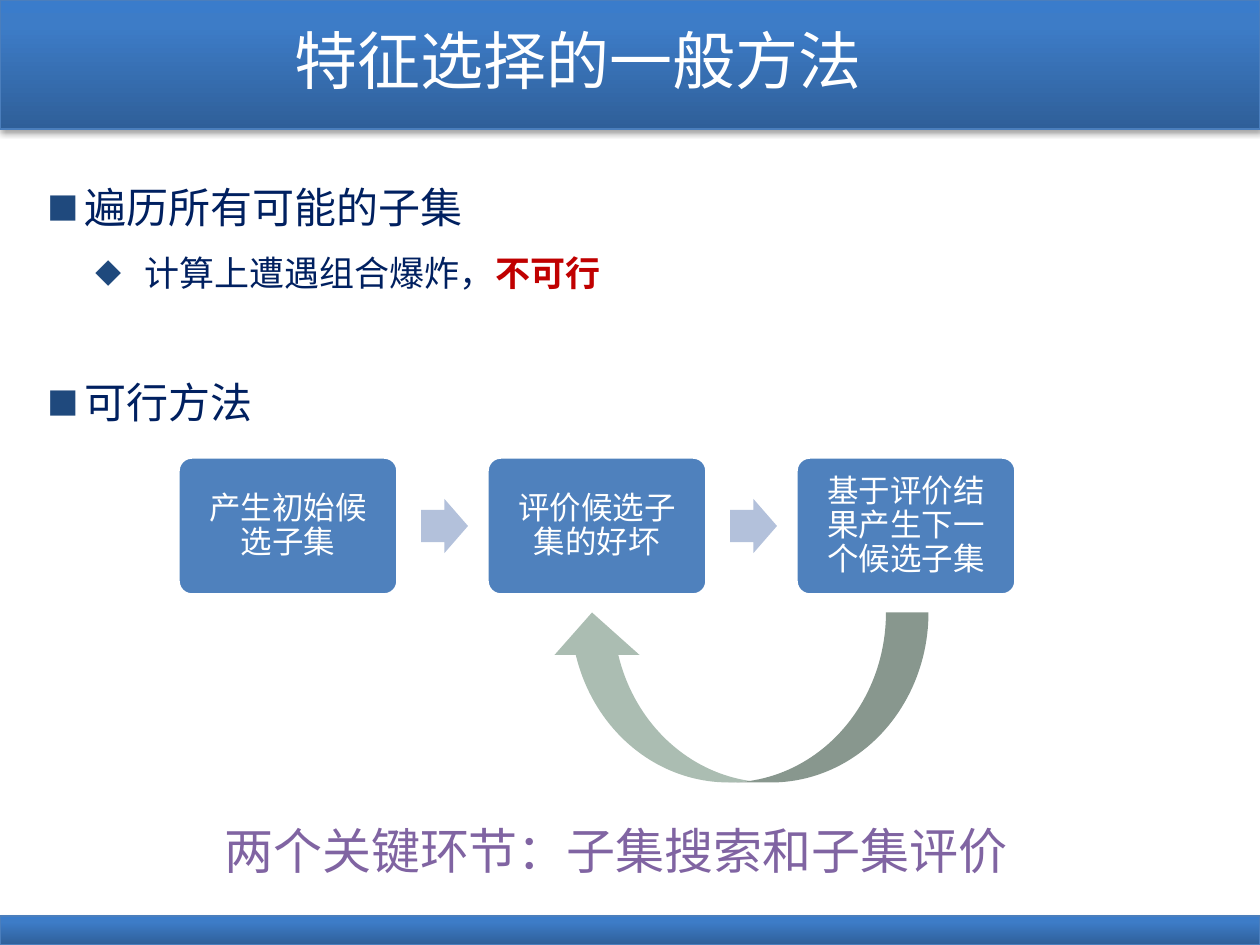
from copy import deepcopy

from lxml import etree
from pptx import Presentation
from pptx.dml.color import RGBColor
from pptx.enum.shapes import MSO_SHAPE as Preset
from pptx.enum.text import MSO_ANCHOR as Anchor, PP_ALIGN as Align
from pptx.oxml import parse_xml
from pptx.oxml.ns import nsdecls, qn
from pptx.util import Emu, Pt

EMU_PER_PX = 914400 / 126
PAGE_WIDTH, PAGE_HEIGHT = 1260, 945
LATIN, CJK = "Times New Roman", "Noto Sans CJK SC"
COLORS = {
    "white": "FFFFFF", "navy": "002060", "red": "C00000", "purple": "8064A2",
    "bullet": "1F497D", "step": "4F81BD", "arrow": "B3C1DB", "loop": "ABBDB2",
    "band_dark": "2F5F99", "band_mid": "3D7CC7", "band_light": "3A7CCB",
    "band_line": "4B7EBC",
}


def px(value):
    return Emu(round(value * EMU_PER_PX))


def color(name):
    return RGBColor.from_string(COLORS[name])


class SlideBuilder:
    def __init__(self, page):
        self.page = page

    def shape(self, preset, area, fill, line=None, line_width=0, adjust=()):
        shape = self.page.shapes.add_shape(preset, *map(px, area))
        shape.shadow.inherit = False
        shape.fill.solid()
        shape.fill.fore_color.rgb = color(fill)
        if line:
            shape.line.color.rgb = color(line)
            shape.line.width = Pt(line_width)
        else:
            shape.line.fill.background()
        for index, value in enumerate(adjust):
            shape.adjustments[index] = value
        return shape

    def band(self, top, height):
        """Draw a full-width gradient bar with a soft shadow below it."""
        bar = self.shape(Preset.RECTANGLE, (0, top, PAGE_WIDTH, height),
                         "band_mid", "band_line", 0.75)
        bar.fill.gradient()
        bar.fill.gradient_angle = 90
        stop_list = bar._element.spPr.find(".//" + qn("a:gsLst"))
        stop_list.append(deepcopy(stop_list[0]))
        stops = (("band_dark", 0), ("band_mid", 0.8), ("band_light", 1))
        for stop, (name, position) in zip(bar.fill.gradient_stops, stops):
            stop.color.rgb = color(name)
            stop.position = position
        effects = bar._element.spPr.find(qn("a:effectLst"))
        effects.append(parse_xml(
            f'<a:outerShdw {nsdecls("a")} blurRad="{Pt(3.1)}" dist="{Pt(1.8)}" '
            'dir="5400000" rotWithShape="0"><a:srgbClr val="000000">'
            '<a:alpha val="35000"/></a:srgbClr></a:outerShdw>'))

    def text_box(self, area, anchor=Anchor.TOP):
        frame = self.page.shapes.add_textbox(*map(px, area)).text_frame
        frame.word_wrap = True
        frame.vertical_anchor = anchor
        return frame

    def span(self, para, text, size, name, bold=False, font=LATIN):
        span = para.add_run()
        span.text = text
        span.font.size = Pt(size)
        span.font.name = font
        span.font.bold = bold
        span.font.color.rgb = color(name)

    def bullet(self, para, mark, margin, hanging):
        props = para._p.get_or_add_pPr()
        props.set("marL", str(px(margin)))
        props.set("indent", str(-px(hanging)))
        tint = etree.SubElement(props, qn("a:buClr"))
        etree.SubElement(tint, qn("a:srgbClr"), val=COLORS["bullet"])
        etree.SubElement(props, qn("a:buSzPct"), val="75000")
        etree.SubElement(props, qn("a:buFont"), typeface=CJK)
        etree.SubElement(props, qn("a:buChar"), char=mark)

    def step(self, area, text):
        box = self.shape(Preset.ROUNDED_RECTANGLE, area, "step", "white", 2, (0.1,))
        frame = box.text_frame
        frame.word_wrap = True
        frame.vertical_anchor = Anchor.MIDDLE
        frame.margin_left = frame.margin_right = px(13)
        frame.margin_top = frame.margin_bottom = px(13)
        para = frame.paragraphs[0]
        para.alignment = Align.CENTER
        para.line_spacing = 0.9
        self.span(para, text, 18, "white")


def main():
    deck = Presentation()
    deck.slide_width, deck.slide_height = px(PAGE_WIDTH), px(PAGE_HEIGHT)
    builder = SlideBuilder(deck.slides.add_slide(deck.slide_layouts[6]))

    builder.band(0, 129)
    builder.band(916, 29)

    title = builder.text_box((35, 6, 1086, 107), Anchor.MIDDLE).paragraphs[0]
    title.alignment = Align.CENTER
    builder.span(title, "特征选择的一般方法", 36, "white")

    body = builder.text_box((35, 160, 1187, 679))
    top_level, sub_level = ("■", 37, 37), ("◆", 97, 49)
    outline = (
        (top_level, 0, 24, (("遍历所有可能的子集", "navy", False),)),
        (sub_level, 4, 20, (("计算上遭遇组合爆炸，", "navy", False),
                            ("不可行", "red", True))),
        (top_level, 39, 24, (("可行方法", "navy", False),)),
    )
    for index, (level, space, size, spans) in enumerate(outline):
        para = body.add_paragraph() if index else body.paragraphs[0]
        para.line_spacing = 1.3
        if space:
            para.space_before = Pt(space)
        builder.bullet(para, *level)
        for text, name, bold in spans:
            builder.span(para, text, size, name, bold)

    steps = ("产生初始候选子集", "评价候选子集的好坏", "基于评价结果产生下一个候选子集")
    pitch = 309
    for index, text in enumerate(steps):
        left = 178 + index * pitch
        builder.step((left, 457, 220, 138), text)
        if index < len(steps) - 1:
            builder.shape(Preset.RIGHT_ARROW, (left + 243, 499, 47, 54),
                          "arrow", adjust=(0.6, 0.5))

    loop = builder.shape(Preset.CURVED_LEFT_ARROW, (654, 508, 170, 379), "loop")
    loop.rotation = 90

    summary = builder.text_box((212, 814, 832, 72)).paragraphs[0]
    builder.span(summary, "两个关键环节：子集搜索和子集评价", 28, "purple", font=CJK)

    deck.save("out.pptx")


if __name__ == "__main__":
    main()
